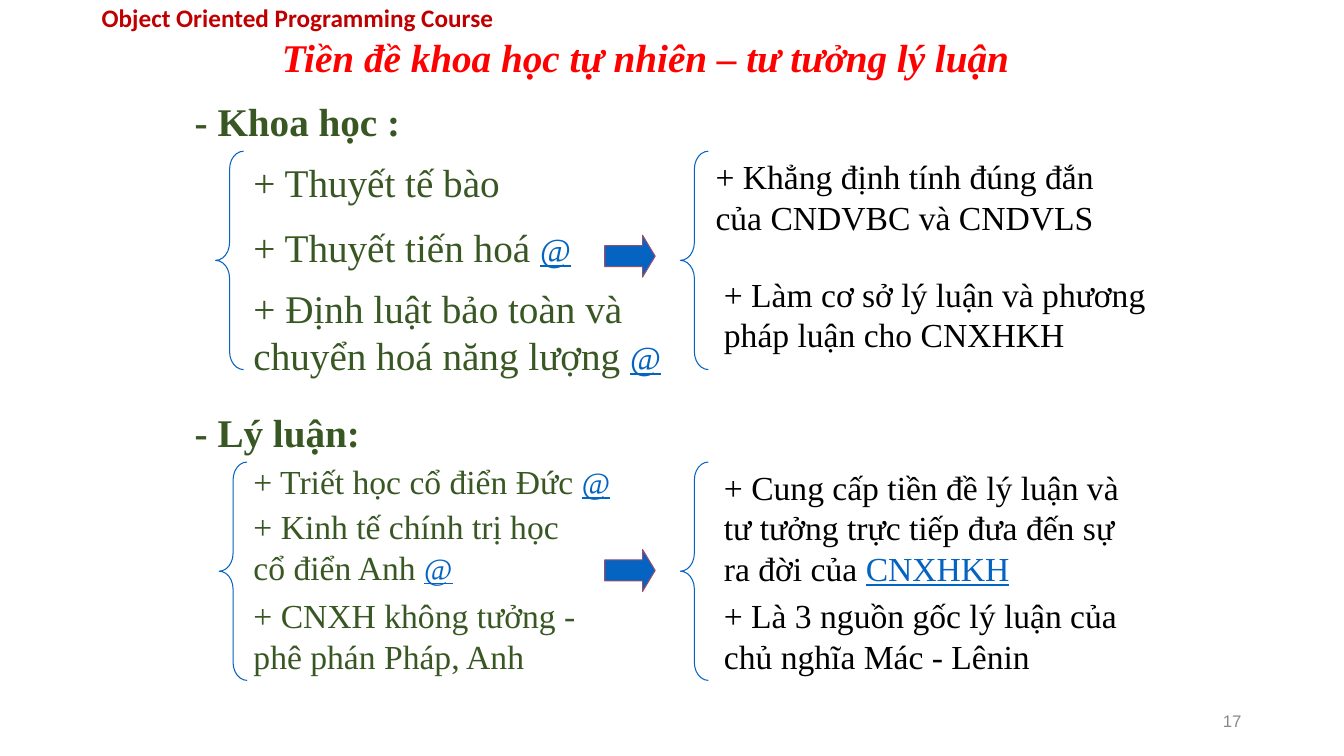
from pptx import Presentation
from pptx.dml.color import RGBColor
from pptx.enum import shapes, text
from pptx.util import Pt

RED = RGBColor(0xFF, 0x00, 0x00)
DARK_RED = RGBColor(0xC0, 0x00, 0x00)
GREEN = RGBColor(0x38, 0x57, 0x23)
BLUE = RGBColor(0x05, 0x63, 0xC1)
PURPLE = RGBColor(0x95, 0x4F, 0x72)
GRAY = RGBColor(0x89, 0x89, 0x89)
BLACK = RGBColor(0x00, 0x00, 0x00)
WHITE = RGBColor(0xFF, 0xFF, 0xFF)

SERIF = "Times New Roman"
LEFT_X, RIGHT_X = 174, 510

# left, top, width, height, size, colour, words, link words, link size
POINTS = [
    (LEFT_X, 109.5, 216, 41, 28, GREEN, "+ Thuyết tế bào", "", 0),
    (LEFT_X, 156, 258, 41, 28, GREEN, "+ Thuyết tiến hoá ", "@", 24),
    (LEFT_X, 199.5, 318, 75, 28, GREEN,
     "+ Định luật bảo toàn và chuyển hoá năng lượng ", "@", 24),
    (504, 108, 306, 65.5, 24, BLACK,
     "+ Khẳng định tính đúng đắn của CNDVBC và CNDVLS", "", 0),
    (RIGHT_X, 192, 330, 65.5, 24, BLACK,
     "+ Làm cơ sở lý luận và phương pháp luận cho CNXHKH", "", 0),
    (LEFT_X, 325.5, 288, 36.5, 24, GREEN, "+ Triết học cổ điển Đức ", "@", 22),
    (LEFT_X, 358, 246, 65.5, 24, GREEN,
     "+ Kinh tế chính trị học cổ điển Anh ", "@", 22),
    (LEFT_X, 421.5, 246, 65.5, 24, GREEN,
     "+ CNXH không tưởng - phê phán Pháp, Anh", "", 0),
    (RIGHT_X, 330, 306, 94.5, 24, BLACK,
     "+ Cung cấp tiền đề lý luận và tư tưởng trực tiếp đưa đến sự ra đời của ",
     "CNXHKH", 24),
    (RIGHT_X, 421.5, 330, 65.5, 24, BLACK,
     "+ Là 3 nguồn gốc lý luận của chủ nghĩa Mác - Lênin", "", 0),
]


def add_run(p, words, color, **font):
    r = p.add_run()
    r.text = words
    r.font.color.rgb = color
    for name, value in font.items():
        setattr(r.font, name, value)


def prepare(tf, align=text.PP_ALIGN.LEFT, anchor=text.MSO_ANCHOR.TOP):
    """Set wrapping and alignment, and return the first paragraph."""
    frame_format = {"word_wrap": True, "vertical_anchor": anchor,
                    "auto_size": text.MSO_AUTO_SIZE.NONE}
    for name, value in frame_format.items():
        setattr(tf, name, value)
    p = tf.paragraphs[0]
    p.alignment = align
    return p


def add_text(s, box, **layout):
    sp = s.shapes.add_textbox(*map(Pt, box))
    return prepare(sp.text_frame, **layout)


def add_preset(s, kind, box, fill=None, line=None, adjustments=()):
    sp = s.shapes.add_shape(kind, *map(Pt, box))
    sp.shadow.inherit = False
    if fill is None:
        sp.fill.background()
    else:
        sp.fill.solid()
        sp.fill.fore_color.rgb = fill
    if line is None:
        sp.line.fill.background()
    else:
        sp.line.color.rgb = line
        sp.line.width = Pt(0.75)
    for i, value in enumerate(adjustments):
        sp.adjustments[i] = value
    return sp


def add_course_header(s):
    sp = add_preset(s, shapes.MSO_SHAPE.RECTANGLE, (65.5, -2, 854.5, 29), fill=WHITE)
    add_run(prepare(sp.text_frame), "Object Oriented Programming Course", DARK_RED,
            name="Calibri", size=Pt(18), bold=True)


def set_title(s, words):
    sp = s.shapes.title
    box = {"left": 154, "top": 20, "width": 614, "height": 41}
    for name, value in box.items():
        setattr(sp, name, Pt(value))
    p = prepare(sp.text_frame, align=text.PP_ALIGN.CENTER)
    add_run(p, words, RED, name=SERIF, size=Pt(28), bold=True, italic=True)


def add_section(s, heading, heading_top, brace_top, brace_left, arrow_top):
    p = add_text(s, (132, heading_top, 294, 41))
    add_run(p, heading, GREEN, name=SERIF, size=Pt(28), bold=True)
    for left in (brace_left, 486):
        add_preset(s, shapes.MSO_SHAPE.LEFT_BRACE, (left, brace_top, 20, 156),
                   line=BLUE, adjustments=(0.642, 0.5))
    add_preset(s, shapes.MSO_SHAPE.RIGHT_ARROW, (432, arrow_top, 36, 30),
               fill=BLUE, line=PURPLE, adjustments=(0.5, 0.3))


def add_point(s, left, top, width, height, size, color, words, link, link_size):
    p = add_text(s, (left, top, width, height))
    add_run(p, words, color, name=SERIF, size=Pt(size))
    if link:
        add_run(p, link, BLUE, name=SERIF, size=Pt(link_size), underline=True)


def add_page_number(s, number):
    p = add_text(s, (678, 500.5, 216, 29), align=text.PP_ALIGN.RIGHT,
                 anchor=text.MSO_ANCHOR.MIDDLE)
    add_run(p, number, GRAY, name="Arial", size=Pt(12))


def main():
    prs = Presentation()
    prs.slide_width, prs.slide_height = Pt(960), Pt(540)
    s = prs.slides.add_slide(prs.slide_layouts[5])
    add_course_header(s)
    set_title(s, "Tiền đề khoa học tự nhiên – tư tưởng lý luận")
    add_section(s, "- Khoa học :", 66, 108, 154, 168)
    add_section(s, "- Lý luận:", 288, 330, 156.5, 392.5)
    for point in POINTS:
        add_point(s, *point)
    add_page_number(s, "17")
    # The header band overlaps the title box, so the title goes in front of it
    s.shapes.title.element.getparent().append(s.shapes.title.element)
    prs.save("out.pptx")


if __name__ == "__main__":
    main()
